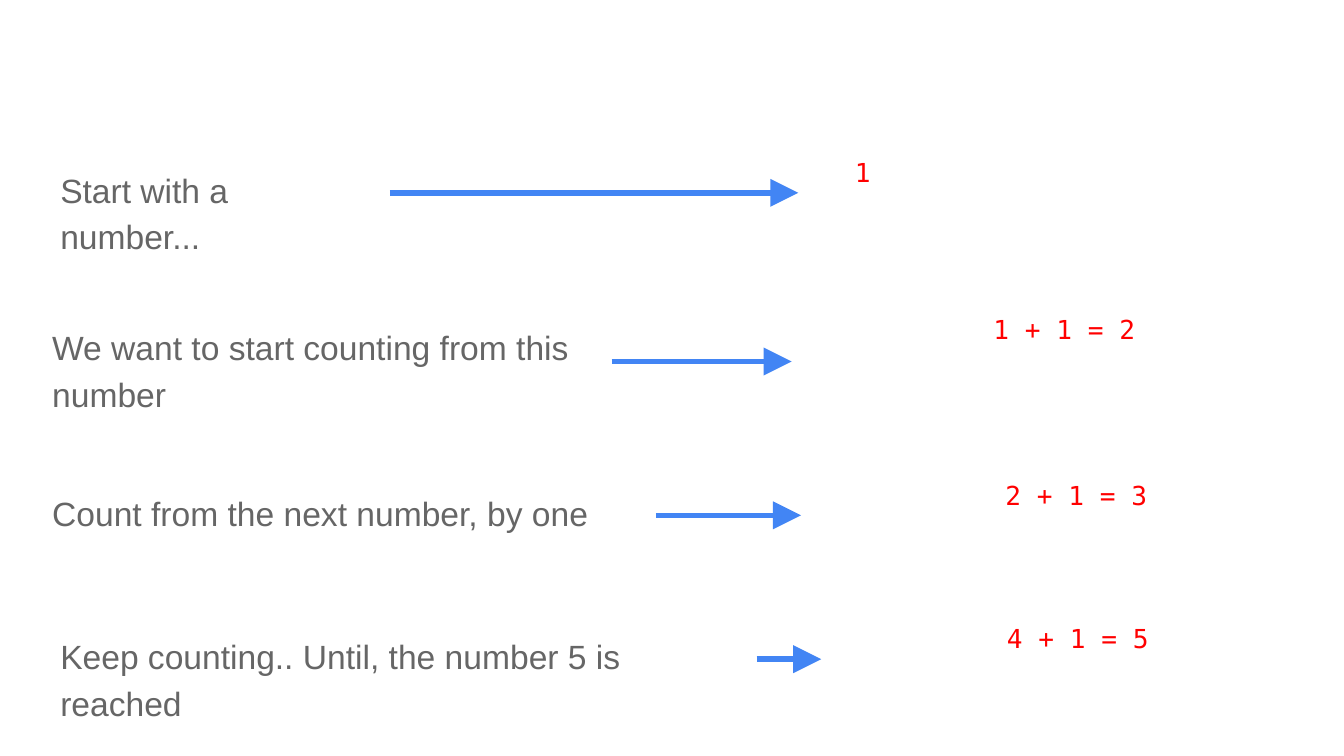
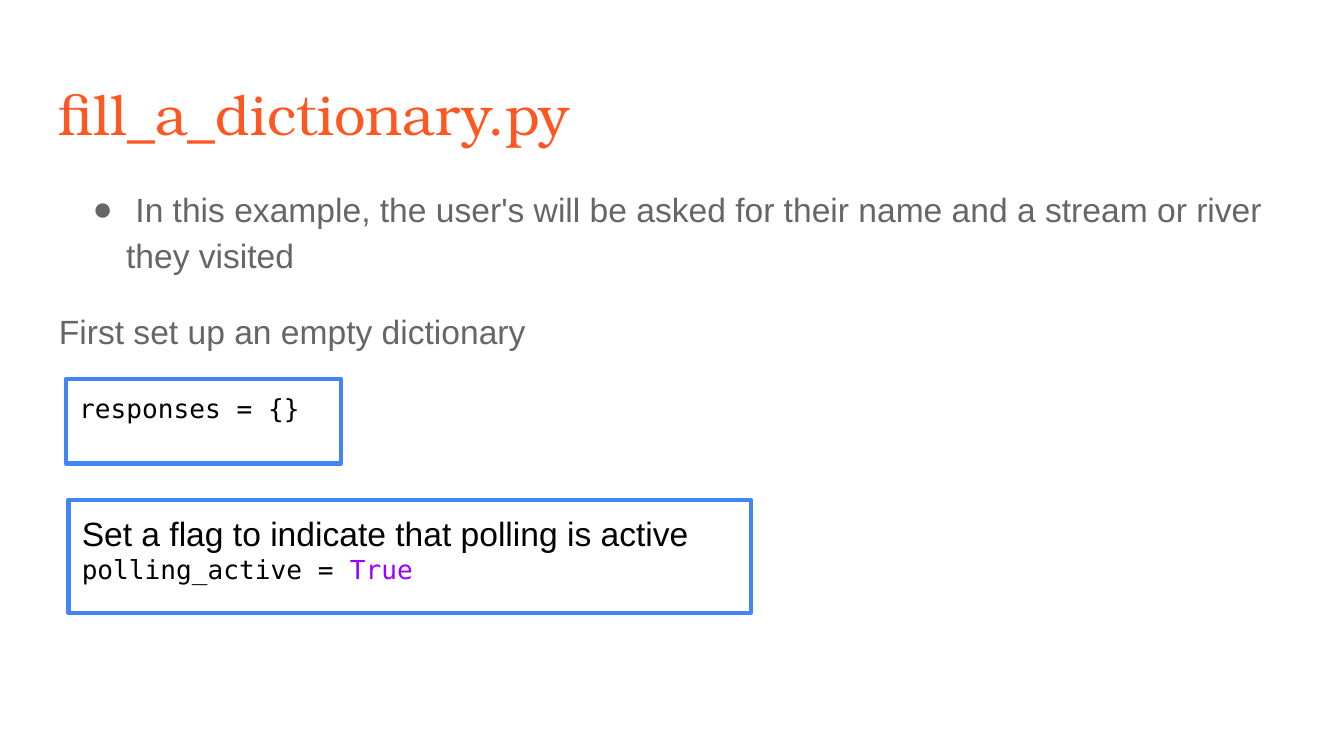
import pptx
import pptx.dml.color
import pptx.enum.shapes
import pptx.enum.text
import pptx.oxml.ns
import pptx.util
from lxml import etree

SLIDE_WIDTH = 10
SLIDE_HEIGHT = SLIDE_WIDTH * 9 / 16
COLUMN = ROW = SLIDE_WIDTH / 100
COLORS = {
    "background": "FFFFFF",
    "title": "FF5722",
    "body": "666666",
    "accent": "4285F4",
    "result": "FF0000",
    "code": "000000",
    "keyword": "9900FF",
}
BODY_FONT, CODE_FONT, TITLE_FONT = "Arial", "DejaVu Sans Mono", "TeX Gyre Bonum"
BODY_STYLE = (BODY_FONT, 18, "body")
TEXT_STYLE = (BODY_FONT, 18, "code")
CODE_STYLE = (CODE_FONT, 14, "code")
RESULT_STYLE = (CODE_FONT, 14, "result")
TITLE_STYLE = (TITLE_FONT, 30, "title")


def color(name):
    return pptx.dml.color.RGBColor.from_string(COLORS[name])


def grid_box(box, left, top, width, height):
    return (box[0] + left * COLUMN, box[1] + top * ROW, width * COLUMN, height * ROW)


def inches(box):
    return [pptx.util.Inches(length) for length in box]


def add_child(parent, tag, **attributes):
    return etree.SubElement(parent, pptx.oxml.ns.qn(tag), attributes)


def style_frame(frame, vertical_inset=0.1):
    frame.word_wrap = True
    frame.vertical_anchor = pptx.enum.text.MSO_ANCHOR.TOP
    frame.margin_left = frame.margin_right = pptx.util.Inches(0.1)
    frame.margin_top = frame.margin_bottom = pptx.util.Inches(vertical_inset)


def write_paragraphs(frame, lines):
    for index, (text, (font_name, size, color_name)) in enumerate(lines):
        paragraph = frame.paragraphs[0] if index == 0 else frame.add_paragraph()
        paragraph.alignment = pptx.enum.text.PP_ALIGN.LEFT
        paragraph.add_run().text = text
        paragraph.font.name = font_name
        paragraph.font.size = pptx.util.Pt(size)
        paragraph.font.color.rgb = color(color_name)


def add_text(slide, box, lines, vertical_inset=0.1):
    shape = slide.shapes.add_textbox(*inches(box))
    style_frame(shape.text_frame, vertical_inset)
    write_paragraphs(shape.text_frame, lines)
    return shape


def add_body(slide, box, texts):
    shape = add_text(slide, box, [(text, BODY_STYLE) for text in texts])
    for paragraph in shape.text_frame.paragraphs:
        paragraph.line_spacing = 1.15
        paragraph.space_after = pptx.util.Pt(16)
    return shape


def add_bullet(paragraph):
    properties = paragraph._p.get_or_add_pPr()
    properties.set("marL", str(pptx.util.Inches(0.5)))
    properties.set("indent", str(pptx.util.Inches(-0.25)))
    bullet_font = add_child(properties, "a:buFont", typeface=BODY_FONT)
    bullet = add_child(properties, "a:buChar", char="●")
    defaults = properties.find(pptx.oxml.ns.qn("a:defRPr"))
    if defaults is not None:
        defaults.addprevious(bullet_font)
        defaults.addprevious(bullet)


def add_arrow(slide, source, end):
    middle = source.top + source.height // 2
    arrow = slide.shapes.add_connector(
        pptx.enum.shapes.MSO_CONNECTOR.STRAIGHT,
        source.left + source.width, middle, pptx.util.Inches(end), middle)
    arrow.begin_connect(source, 3)
    arrow.line.color.rgb = color("accent")
    arrow.line.width = pptx.util.Pt(3)
    add_child(arrow.line._get_or_add_ln(), "a:tailEnd", type="triangle", w="lg", len="lg")
    add_child(arrow._element.spPr, "a:effectLst")


def add_code_box(slide, box, lines):
    shape = slide.shapes.add_shape(
        pptx.enum.shapes.MSO_SHAPE.RECTANGLE, *inches(box))
    shape.shadow.inherit = False
    shape.fill.background()
    shape.line.color.rgb = color("accent")
    shape.line.width = pptx.util.Pt(2.25)
    style_frame(shape.text_frame)
    write_paragraphs(shape.text_frame, lines)
    return shape


def add_step(slide, box, step):
    label, indent, label_width, label_height, arrow_end, result, result_left, result_width = step
    source = add_body(
        slide, grid_box(box, indent, 0, label_width, label_height), [label])
    answer = add_text(
        slide, grid_box(box, result_left, -0.05, result_width, 6.4),
        [(result, RESULT_STYLE)], 0.05)
    answer.text_frame.paragraphs[0].alignment = pptx.enum.text.PP_ALIGN.CENTER
    add_arrow(slide, source, box[0] + arrow_end * COLUMN)


def build_counting_slide(slide, box):
    steps = {
        11.2: ("Start with a number...", 0.6, 25.5, 6.3, 56.5, "1", 59.6, 3.4),
        22.9: ("We want to start counting from this number", 0, 42.6, 8, 56,
               "1 + 1 = 2", 59.6, 33.4),
        35.2: ("Count from the next number, by one", 0, 45.9, 6.3, 56.7,
               "2 + 1 = 3", 60.4, 33.6),
        45.9: ("Keep counting.. Until, the number 5 is reached", 0.6, 52.8, 6.3, 58.2,
               "4 + 1 = 5", 60.4, 33.8),
    }
    for top, step in steps.items():
        add_step(slide, grid_box(box, 2.9, top, 94.2, 8), step)


def build_dictionary_slide(slide, box):
    add_text(slide, grid_box(box, 3.4, 4.9, 93.2, 6.3),
             [("fill_a_dictionary.py", TITLE_STYLE)])
    body = add_body(slide, grid_box(box, 3.4, 12.6, 93.2, 14.6), [
        " In this example, the user's will be asked for their name and a stream or river they visited",
        "First set up an empty dictionary",
    ])
    add_bullet(body.text_frame.paragraphs[0])
    add_code_box(slide, grid_box(box, 4.9, 28.2, 20.5, 6.3),
                 [("responses = {}", CODE_STYLE)])
    flag = add_code_box(slide, grid_box(box, 5.1, 37.2, 50.8, 8.4), [
        ("Set a flag to indicate that polling is active", TEXT_STYLE),
        ("polling_active = ", CODE_STYLE),
    ])
    keyword = flag.text_frame.paragraphs[1].add_run()
    keyword.text = "True"
    keyword.font.color.rgb = color("keyword")


def main():
    presentation = pptx.Presentation()
    presentation.slide_width = pptx.util.Inches(SLIDE_WIDTH)
    presentation.slide_height = pptx.util.Inches(SLIDE_HEIGHT)
    for build in (build_counting_slide, build_dictionary_slide):
        slide = presentation.slides.add_slide(presentation.slide_layouts[6])
        slide.background.fill.solid()
        slide.background.fill.fore_color.rgb = color("background")
        build(slide, (0, 0, SLIDE_WIDTH, SLIDE_HEIGHT))
    presentation.save("out.pptx")


if __name__ == "__main__":
    main()
